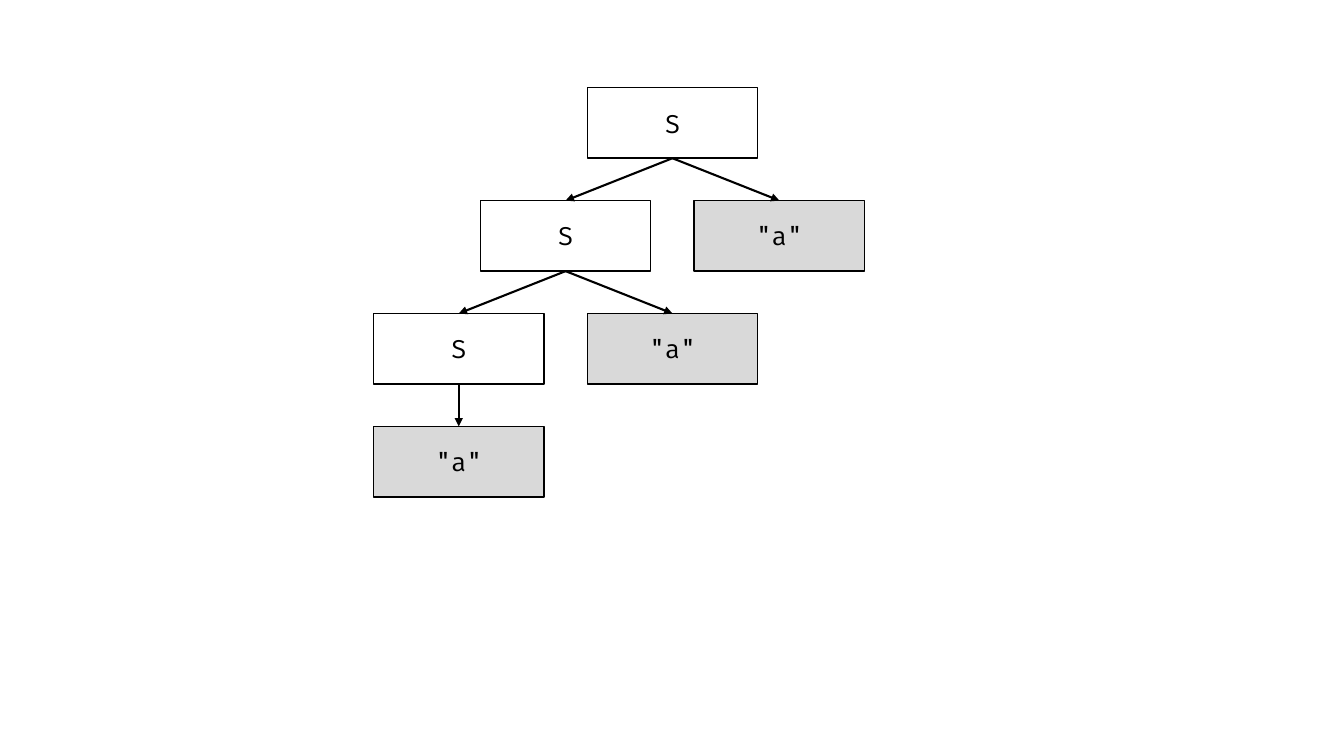
from pptx import Presentation
from pptx.dml.color import RGBColor
from pptx.enum import shapes, text
from pptx.oxml.ns import qn
from pptx.util import Inches, Pt
from lxml import etree

COLORS = {"ink": "000000", "symbol": "FFFFFF", "terminal": "D9D9D9"}
FONT = "Fira Code"

NODES = {
    "root": ("S", "symbol", 0, 0),
    "root_a": ('"a"', "terminal", 1, 1),
    "middle": ("S", "symbol", -1, 1),
    "middle_a": ('"a"', "terminal", 0, 2),
    "lowest": ("S", "symbol", -2, 2),
    "lowest_a": ('"a"', "terminal", -2, 3),
}
BRANCHES = [
    ("root", "root_a"),
    ("root", "middle"),
    ("middle", "middle_a"),
    ("middle", "lowest"),
    ("lowest", "lowest_a"),
]

ROOT_CENTER, ROOT_TOP = 6.67, 0.87
NODE_WIDTH, NODE_HEIGHT = 1.69, 0.7
COLUMN_STEP, ROW_STEP = 1.06, 1.12
BOTTOM_SITE, TOP_SITE = 2, 0


def rgb(name):
    return RGBColor.from_string(COLORS[name])


def write(node, label, size=18, font=FONT, color="ink"):
    frame = node.text_frame
    frame.word_wrap = True
    frame.vertical_anchor = text.MSO_ANCHOR.MIDDLE
    paragraph = frame.paragraphs[0]
    paragraph.alignment = text.PP_ALIGN.CENTER
    run = paragraph.add_run()
    run.text = label
    run.font.size = Pt(size)
    run.font.name = font
    run.font.color.rgb = rgb(color)


def add_node(slide, label, kind, column, row):
    left = ROOT_CENTER + column * COLUMN_STEP - NODE_WIDTH / 2
    top = ROOT_TOP + row * ROW_STEP
    node = slide.shapes.add_shape(
        shapes.MSO_SHAPE.RECTANGLE,
        Inches(left), Inches(top), Inches(NODE_WIDTH), Inches(NODE_HEIGHT),
    )
    node.shadow.inherit = False
    node.fill.solid()
    node.fill.fore_color.rgb = rgb(kind)
    node.line.color.rgb = rgb("ink")
    node.line.width = Pt(1)
    write(node, label)
    return node


def add_branch(slide, parent, child):
    branch = slide.shapes.add_connector(shapes.MSO_CONNECTOR.STRAIGHT, 0, 0, 0, 0)
    branch.begin_connect(parent, BOTTOM_SITE)
    branch.end_connect(child, TOP_SITE)
    branch.line.color.rgb = rgb("ink")
    branch.line.width = Pt(1.5)
    properties = branch._element.spPr
    outline = properties.find(qn("a:ln"))
    etree.SubElement(outline, qn("a:tailEnd"), type="triangle")
    etree.SubElement(properties, qn("a:effectLst"))


prs = Presentation()
prs.slide_width, prs.slide_height = Inches(13.33), Inches(7.5)
slide = prs.slides.add_slide(prs.slide_layouts[6])

tree = {key: add_node(slide, *node) for key, node in NODES.items()}
for parent, child in BRANCHES:
    add_branch(slide, tree[parent], tree[child])

prs.save("out.pptx")
